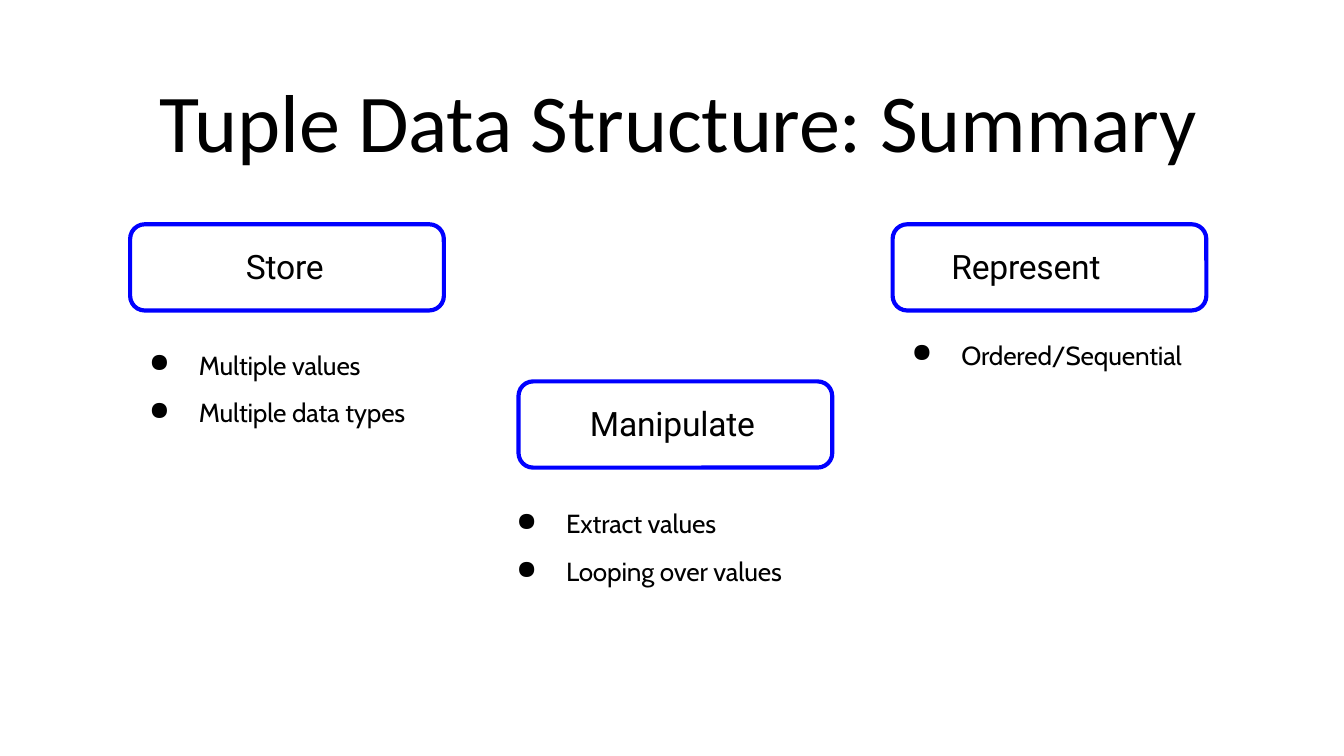
from lxml.etree import SubElement
from pptx import Presentation
from pptx.dml.color import RGBColor
from pptx.enum.shapes import MSO_SHAPE
from pptx.enum.text import MSO_ANCHOR, PP_ALIGN
from pptx.oxml.ns import qn
from pptx.util import Cm, Pt

COLORS = {"text": "000000", "border": "0000FF"}
BOX_WIDTH, BOX_HEIGHT = 5.93, 1.63
LABEL_OFFSET = 0.38

prs = Presentation()
prs.slide_width, prs.slide_height = Cm(25.4), Cm(14.29)
slide = prs.slides.add_slide(prs.slide_layouts[6])


def add_text(area, lines, font, size, inset=0.03):
    frame = slide.shapes.add_textbox(*map(Cm, area)).text_frame
    frame.word_wrap = True
    frame.margin_left = frame.margin_right = frame.margin_bottom = 0
    frame.margin_top = Cm(inset)
    frame.text = "\n".join(lines)
    for paragraph in frame.paragraphs:
        for run in paragraph.runs:
            run.font.name = font
            run.font.size = Pt(size)
            run.font.color.rgb = RGBColor.from_string(COLORS["text"])
            run.font._element.set("spc", "-10")
    return frame


title = add_text((2.34, 1.3, 20.96, 1.9), ["Tuple Data Structure: Summary"], "Calibri", 44)
title.vertical_anchor = MSO_ANCHOR.MIDDLE
title.paragraphs[0].alignment = PP_ALIGN.CENTER

topics = [
    ("Store", 2.46, 4.24, 4.65, 1.55,
     (2.79, 6.27, 4.9, 2.46), 0.33, ["Multiple values", "Multiple data types"]),
    ("Represent", 16.87, 4.24, 17.98, 3.71,
     (17.2, 6.38, 5.46, 0.64), 0.03, ["Ordered/Sequential"]),
    ("Manipulate", 9.8, 7.21, 11.15, 3.23,
     (9.73, 9.27, 6.81, 1.85), 0.33, ["Extract values", "Looping over values"]),
]

for name, left, top, label_left, label_width, points_area, inset, points in topics:
    box = slide.shapes.add_shape(
        MSO_SHAPE.ROUNDED_RECTANGLE, Cm(left), Cm(top), Cm(BOX_WIDTH), Cm(BOX_HEIGHT))
    box.adjustments[0] = 0.17
    box.shadow.inherit = False
    box.fill.background()
    box.line.color.rgb = RGBColor.from_string(COLORS["border"])
    box.line.width = Pt(2.25)

    add_text((label_left, top + LABEL_OFFSET, label_width, 0.81), [name], "Roboto", 18)

    details = add_text(points_area, points, "Cabin", 14, inset)
    for paragraph in details.paragraphs:
        paragraph.space_before = Pt(8.7)
        properties = paragraph._p.get_or_add_pPr()
        properties.set("marL", str(Cm(0.97)))
        properties.set("indent", str(Cm(-0.94)))
        SubElement(properties, qn("a:buChar"), char="●")

prs.save("out.pptx")
